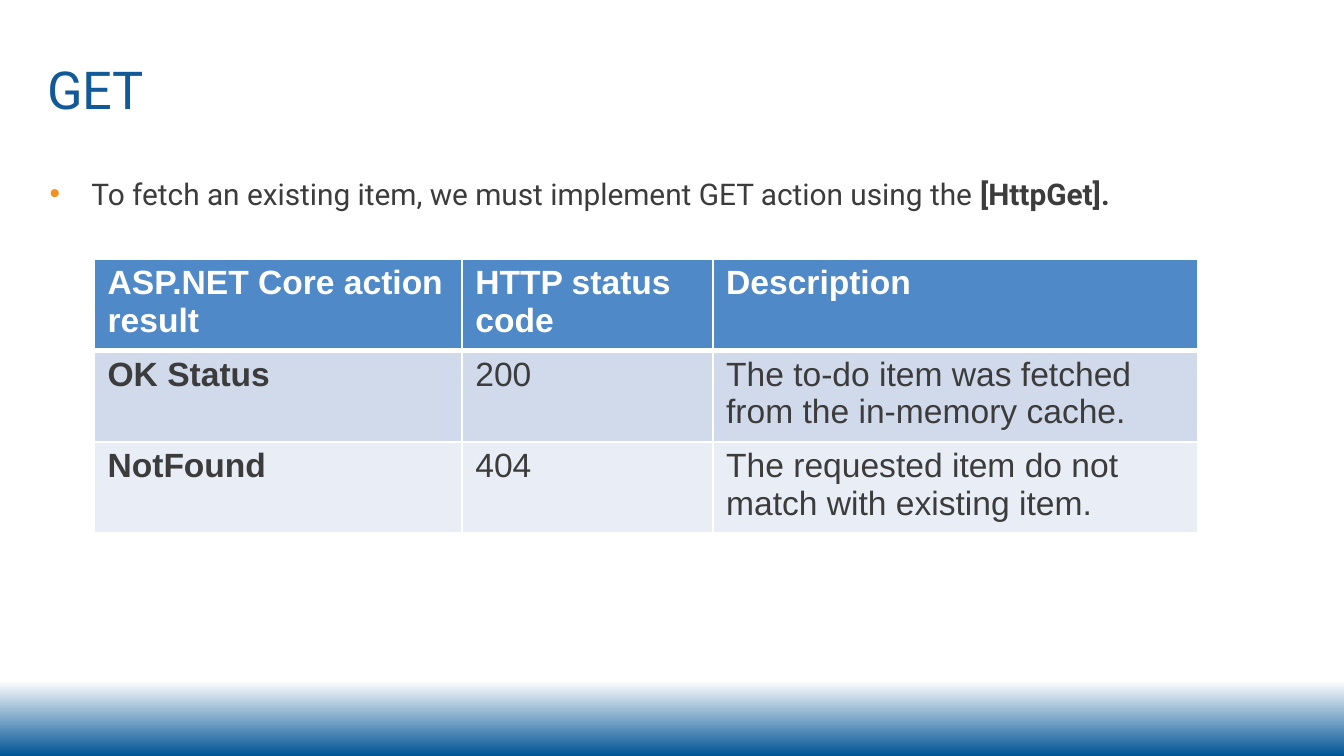
from typing import NamedTuple

from lxml.etree import SubElement
from pptx import Presentation
from pptx.dml.color import RGBColor
from pptx.enum.shapes import MSO_SHAPE as Shape
from pptx.enum.text import MSO_ANCHOR as Anchor
from pptx.oxml.ns import qn
from pptx.util import Cm, Pt

WHITE, INK, BLUE, ORANGE = "FFFFFF", "3C3C3C", "125A97", "F3911F"
HEADER_FILL, BAND_FILLS = "4F89C8", ("D0DAEB", "E9EDF5")


class Area(NamedTuple):
    left: float
    top: float
    width: float
    height: float

    def lengths(self) -> list:
        return [Cm(value) for value in self]


class Style(NamedTuple):
    name: str
    size: int
    color: str
    bold: bool = False


TITLE = Style("Roboto", 28, BLUE)
BODY = Style("Roboto", 16, INK)
CELL = Style("Arial", 18, INK)

COLUMN_WIDTHS = (6.95, 4.74, 9.16)
ROW_HEIGHT = 1.66
ROWS = (
    ("ASP.NET Core action result", "HTTP status code", "Description"),
    ("OK Status", "200", "The to-do item was fetched from the in-memory cache."),
    ("NotFound", "404", "The requested item do not match with existing item."),
)
TABLE_AREA = Area(1.78, 4.9, sum(COLUMN_WIDTHS), ROW_HEIGHT * len(ROWS))


def rgb(value: str) -> RGBColor:
    return RGBColor.from_string(value)


def set_format(target, **values) -> None:
    for name, value in values.items():
        setattr(target, name, value)


def add_span(para, text: str, style: Style) -> None:
    span = para.add_run()
    span.text = text
    set_format(span.font, name=style.name, size=Pt(style.size), bold=style.bold)
    span.font.color.rgb = rgb(style.color)


def add_text(page, area: Area, anchor: Anchor, *spans: tuple[str, Style]):
    """Add a one-paragraph text box and return its paragraph."""
    frame = page.shapes.add_textbox(*area.lengths()).text_frame
    set_format(frame, word_wrap=True, vertical_anchor=anchor)
    para = frame.paragraphs[0]
    for text, style in spans:
        add_span(para, text, style)
    return para


def add_bullet(para, indent: float, color: str) -> None:
    properties = para._p.get_or_add_pPr()
    properties.set("marL", str(Cm(indent)))
    properties.set("indent", str(-Cm(indent)))
    bullet_color = SubElement(properties, qn("a:buClr"))
    SubElement(bullet_color, qn("a:srgbClr"), val=color)
    SubElement(properties, qn("a:buFont"), typeface="Arial")
    SubElement(properties, qn("a:buChar"), char="•")


def add_borders(cell, color: str, **widths: float) -> None:
    """Draw the cell's borders; widths are points by side: L, R, T, B."""
    properties = cell._tc.get_or_add_tcPr()
    for side, width in widths.items():
        line = SubElement(properties, qn(f"a:ln{side}"), w=str(Pt(width)))
        fill = SubElement(line, qn("a:solidFill"))
        SubElement(fill, qn("a:srgbClr"), val=color)


def add_status_table(page) -> None:
    table = page.shapes.add_table(
        len(ROWS), len(COLUMN_WIDTHS), *TABLE_AREA.lengths()
    ).table
    for column, width in zip(table.columns, COLUMN_WIDTHS):
        column.width = Cm(width)
    for r, texts in enumerate(ROWS):
        is_header = r == 0
        fill = HEADER_FILL if is_header else BAND_FILLS[(r - 1) % 2]
        for c, text in enumerate(texts):
            cell = table.cell(r, c)
            set_format(cell, margin_top=Cm(0.1), margin_bottom=Cm(0.1))
            add_borders(cell, WHITE, L=1, R=1,
                        T=3 if r == 1 else 1, B=3 if is_header else 1)
            cell.fill.solid()
            cell.fill.fore_color.rgb = rgb(fill)
            style = CELL._replace(color=WHITE if is_header else INK,
                                  bold=is_header or c == 0)
            add_span(cell.text_frame.paragraphs[0], text, style)


def set_background(page) -> None:
    fill = page.background.fill
    fill.gradient()
    fill.gradient_angle = 270
    for stop, (position, color) in zip(
        fill.gradient_stops, ((0.9, WHITE), (1, "005495"))
    ):
        stop.position = position
        stop.color.rgb = rgb(color)


def add_corner_block(page) -> None:
    block = page.shapes.add_shape(
        Shape.RECTANGLE, *Area(0, 0.03, 0.5, 1.2).lengths()
    )
    block.shadow.inherit = False
    block.fill.solid()
    block.fill.fore_color.rgb = rgb(WHITE)
    block.line.fill.background()


def main() -> None:
    deck = Presentation()
    set_format(deck, slide_width=Cm(25.4), slide_height=Cm(14.29))
    page = deck.slides.add_slide(deck.slide_layouts[6])
    set_background(page)

    body = add_text(
        page, Area(0.69, 3.2, 23, 9.75), Anchor.TOP,
        ("To fetch an existing item, we must implement GET action using the ", BODY),
        ("[HttpGet].", BODY._replace(bold=True)),
    )
    body.space_before = Pt(6)
    add_bullet(body, 0.79, ORANGE)

    title = add_text(page, Area(0.64, 0.97, 23, 1.57), Anchor.MIDDLE, ("GET", TITLE))
    title.line_spacing = 0.9

    add_corner_block(page)
    add_status_table(page)
    deck.save("out.pptx")


if __name__ == "__main__":
    main()
